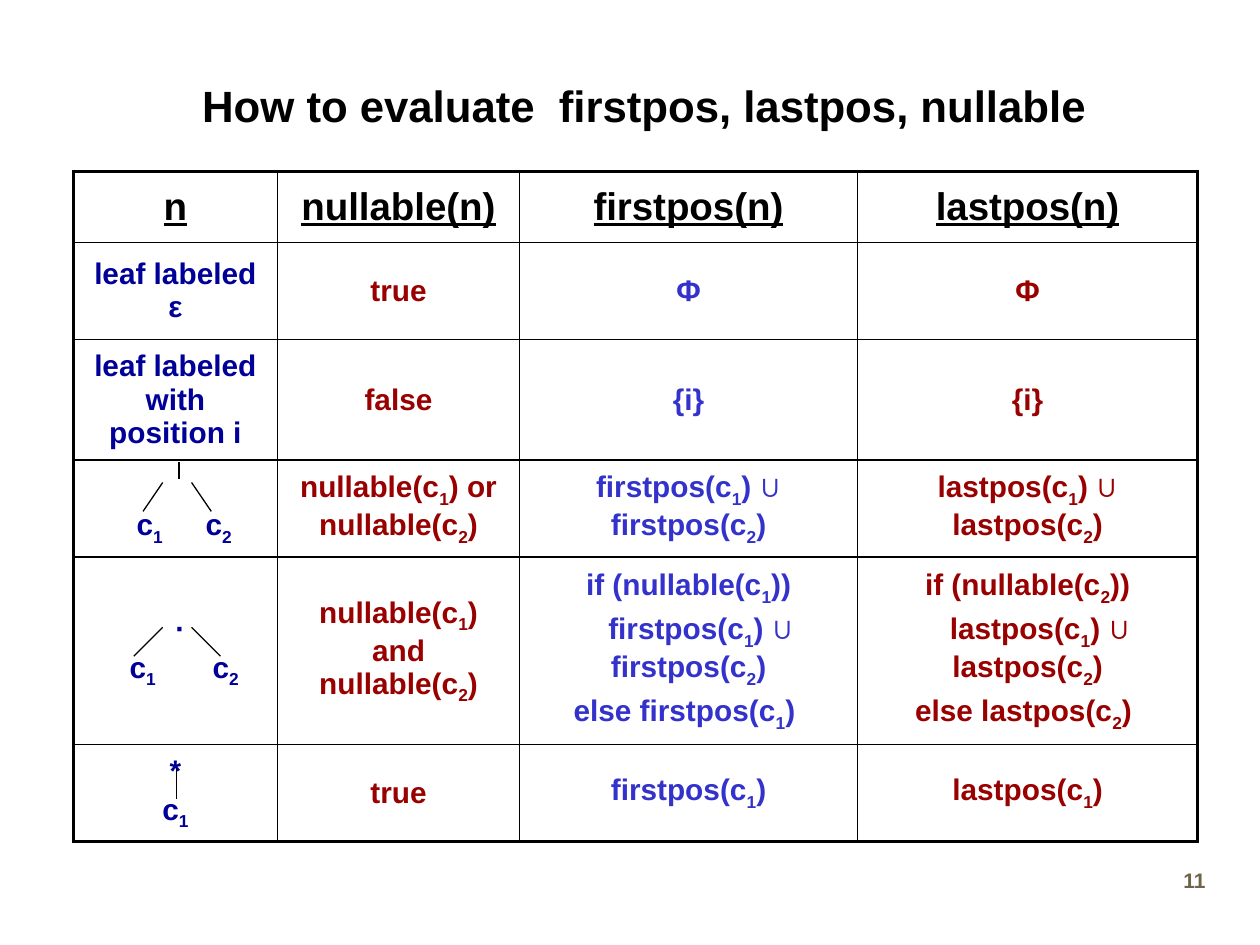
from lxml import etree
from pptx import Presentation
from pptx.dml.color import RGBColor
from pptx.enum.shapes import MSO_CONNECTOR
from pptx.enum.text import MSO_ANCHOR, PP_ALIGN
from pptx.oxml.ns import qn
from pptx.util import Pt

BLACK = RGBColor(0x00, 0x00, 0x00)
NAVY = RGBColor(0x00, 0x00, 0x99)
RED = RGBColor(0x99, 0x00, 0x00)
BLUE = RGBColor(0x33, 0x33, 0xCC)
OLIVE = RGBColor(0x6F, 0x63, 0x4A)
LEFT, CENTER, RIGHT = PP_ALIGN.LEFT, PP_ALIGN.CENTER, PP_ALIGN.RIGHT
MIDDLE, BOTTOM, TOP = MSO_ANCHOR.MIDDLE, MSO_ANCHOR.BOTTOM, MSO_ANCHOR.TOP
STRAIGHT = MSO_CONNECTOR.STRAIGHT

# Column and row sizes, in points
COLUMNS = [116.5, 138.5, 193, 194.5]
ROWS = [40.5, 55.5, 69, 55.5, 102.5, 55.5]
COLUMN_COLORS = [NAVY, RED, BLUE, RED]

# "_" makes the next character a subscript; a new line starts a paragraph
RULES = [
    ["n", "nullable(n)", "firstpos(n)", "lastpos(n)"],
    ["leaf labeled ε", "true", "Φ", "Φ"],
    ["leaf labeled with position i", "false", "{i}", "{i}"],
    ["\tc_1\tc_2", "nullable(c_1) or nullable(c_2)",
     "firstpos(c_1) ∪ firstpos(c_2)", "lastpos(c_1) ∪ lastpos(c_2)"],
    ["∙\n\tc_1\tc_2", "nullable(c_1) and nullable(c_2)",
     "if (nullable(c_1))\nfirstpos(c_1) ∪ firstpos(c_2)\nelse firstpos(c_1) ",
     "if (nullable(c_2))\nlastpos(c_1) ∪ lastpos(c_2)\nelse lastpos(c_2) "],
    ["*\nc_1", "true", "firstpos(c_1)", "lastpos(c_1)"],
]


class SlideBuilder:
    font = "Arial"
    thin, thick, branch_width = 1, 2.25, 0.75
    paragraph_gap = 3.4

    def __init__(self, slide):
        self.slide = slide

    def style(self, run, size, color, underline=False):
        run.font.name = self.font
        run.font.size = Pt(size)
        run.font.bold = True
        run.font.underline = underline
        run.font.color.rgb = color

    def text(self, words, left, top, width, height, size, color, align, anchor):
        box = self.slide.shapes.add_textbox(Pt(left), Pt(top), Pt(width), Pt(height))
        frame = box.text_frame
        frame.word_wrap = True
        frame.vertical_anchor = anchor
        frame.text = words
        paragraph = frame.paragraphs[0]
        paragraph.alignment = align
        self.style(paragraph.runs[0], size, color)

    def line(self, x1, y1, x2, y2):
        line = self.slide.shapes.add_connector(STRAIGHT, Pt(x1), Pt(y1), Pt(x2), Pt(y2))
        line.line.color.rgb = BLACK
        line.line.width = Pt(self.branch_width)
        etree.SubElement(line._element.spPr, qn("a:effectLst"))

    def branches(self, center, top, reach):
        for side in (-1, 1):
            self.line(center + side * 8.25, top, center + side * reach, top + 16.5)

    def table(self, left, top, columns, rows):
        table = self.slide.shapes.add_table(
            len(rows), len(columns), Pt(left), Pt(top),
            Pt(sum(columns)), Pt(sum(rows))).table
        table.first_row = table.horz_banding = False
        for column, width in zip(table.columns, columns):
            column.width = Pt(width)
        for row, height in zip(table.rows, rows):
            row.height = Pt(height)
        return table

    def borders(self, cell, outer_sides):
        cell.fill.background()
        properties = cell._tc.get_or_add_tcPr()
        for index, (side, outer) in enumerate(zip("LRTB", outer_sides)):
            width = Pt(self.thick if outer else self.thin)
            border = etree.Element(qn("a:ln" + side), w=str(width))
            fill = etree.SubElement(border, qn("a:solidFill"))
            etree.SubElement(fill, qn("a:srgbClr"), val=str(BLACK))
            properties.insert(index, border)

    def cell(self, cell, words, size, color, underline, tabs, indents):
        cell.vertical_anchor = MIDDLE
        cell.margin_left = cell.margin_right = Pt(6.5)
        frame = cell.text_frame
        for number, line in enumerate(words.split("\n")):
            paragraph = frame.add_paragraph() if number else frame.paragraphs[0]
            paragraph.alignment = LEFT if "\t" in line else CENTER
            properties = paragraph._p.get_or_add_pPr()
            if number:
                paragraph.space_before = Pt(self.paragraph_gap)
            if number in indents:
                properties.set("marL", "0")
                properties.set("indent", str(Pt(indents[number])))
            if "\t" in line:
                stops = etree.SubElement(properties, qn("a:tabLst"))
                for stop in tabs:
                    etree.SubElement(stops, qn("a:tab"), pos=str(Pt(stop)), algn="l")
            first, *others = line.split("_")
            pieces = [(first, False)]
            for part in others:
                pieces += [(part[0], True), (part[1:], False)]
            for piece, subscript in pieces:
                if piece:
                    run = paragraph.add_run()
                    run.text = piece
                    self.style(run, size, color, underline)
                    if subscript:
                        run.font._element.set("baseline", "-25000")


def main():
    deck = Presentation()
    deck.slide_width, deck.slide_height = Pt(720), Pt(540)
    builder = SlideBuilder(deck.slides.add_slide(deck.slide_layouts[6]))

    # Slide number and title
    builder.text("11", 555, 492, 141, 36, 12, OLIVE, RIGHT, TOP)
    builder.text("How to evaluate  firstpos, lastpos, nullable",
                 44, 21, 648, 78, 25, BLACK, CENTER, MIDDLE)

    # Table of rules; tabs place the child nodes, indents shift single lines
    child_tabs = {3: (29.5, 69), 4: (25.5, 73)}
    line_indents = {(4, 0): {0: 4.7}, (4, 2): {1: 14}, (4, 3): {1: 14}}
    rules = builder.table(42, 98, COLUMNS, ROWS)
    last_row, last_column = len(ROWS) - 1, len(COLUMNS) - 1
    for r, entries in enumerate(RULES):
        header = r == 0
        for c, words in enumerate(entries):
            cell = rules.cell(r, c)
            builder.cell(cell, words, 22 if header else 17,
                         BLACK if header else COLUMN_COLORS[c], header,
                         child_tabs.get(r, ()), line_indents.get((r, c), {}))
            builder.borders(cell, (c == 0, c == last_column, r == 0, r == last_row))

    # The or-node's children sit at the bottom, below its branches
    or_node = rules.cell(3, 0)
    or_node.vertical_anchor = BOTTOM
    or_node.margin_bottom = Pt(6)

    # Tree branches: or-node, concatenation node, star node
    builder.branches(101.25, 275.75, 19.5)
    builder.branches(101.25, 358.5, 24.75)
    builder.line(101, 439, 101, 456.5)
    builder.line(102.25, 264.25, 102.25, 273.5)

    deck.save("out.pptx")


if __name__ == "__main__":
    main()
